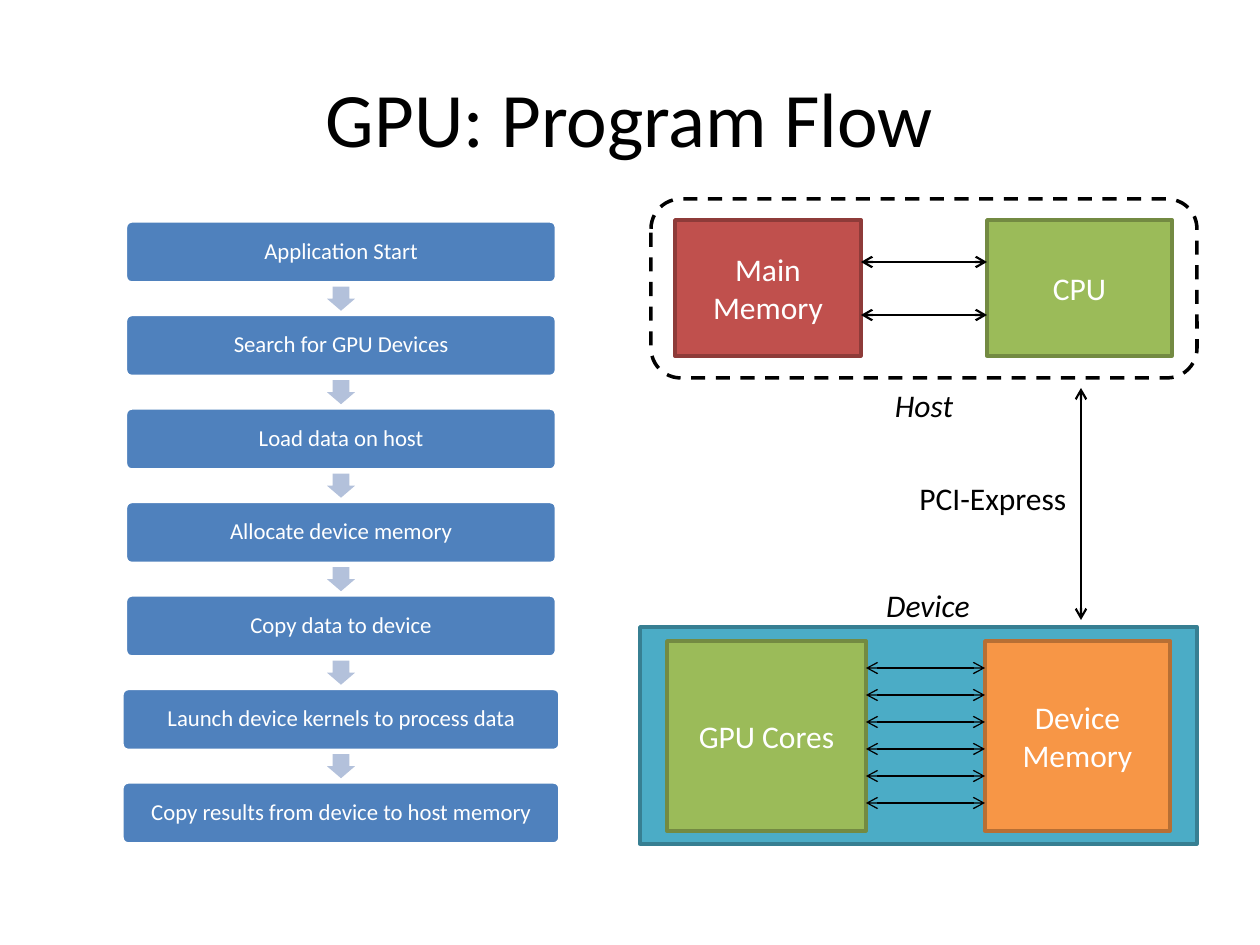
from lxml.etree import SubElement
from pptx import Presentation
from pptx.dml.color import RGBColor
from pptx.enum.dml import MSO_LINE_DASH_STYLE as Dash
from pptx.enum.shapes import MSO_CONNECTOR, MSO_SHAPE as Shape
from pptx.enum.text import MSO_ANCHOR as Anchor, MSO_AUTO_SIZE as AutoSize, PP_ALIGN as Align
from pptx.oxml.ns import qn
from pptx.util import Pt

EMU_PER_PX = 914400 / 126


class Theme:
    font = "Calibri"
    black, white = "000000", "FFFFFF"
    step, step_arrow = "4F81BD", "B3C1DB"
    red, green = ("C0504D", "8E3B39"), ("9BBB59", "738A42")
    teal, orange = ("4BACC6", "377F92"), ("F79646", "B76F34")
    title_size, label_size, step_size = 44, 18, 13
    outline, bus_line, core_line = 2, 1.25, 0.75


# Content; boxes are left, top, width, height in px
TITLE = "GPU: Program Flow"
STEPS = [
    "Application Start",
    "Search for GPU Devices",
    "Load data on host",
    "Allocate device memory",
    "Copy data to device",
    "Launch device kernels to process data",
    "Copy results from device to host memory",
]
WIDE_STEPS = STEPS[-2:]
HOST_BOX = (651, 199, 546, 179)
DEVICE_BOX = (640, 627, 557, 217)
UNITS = [
    ("CPU", (987, 220, 185, 136), Theme.green),
    ("Main Memory", (675, 220, 186, 136), Theme.red),
    ("Device Memory", (985, 641, 185, 190), Theme.orange),
    ("GPU Cores", (667, 641, 199, 190), Theme.green),
]
LABELS = [
    ("PCI-Express", (907, 473, 174, 50), Align.LEFT, False),
    ("Device", (872, 580, 112, 50), Align.CENTER, True),
    ("Host", (882, 380, 84, 50), Align.CENTER, True),
]

# Flow column rules
FLOW_CENTER, FLOW_TOP, FLOW_LAST_TOP = 341, 221, 782
STEP_WIDTH, WIDE_STEP_WIDTH, STEP_HEIGHT = 431, 438, 62
ARROW_WIDTH, ARROW_HEIGHT = 24, 28


def px(*lengths):
    return [round(length * EMU_PER_PX) for length in lengths]


def rgb(color):
    return RGBColor.from_string(color)


def write_text(frame, text, size=Theme.label_size, color=Theme.white,
               align=Align.CENTER, anchor=Anchor.MIDDLE, italic=False,
               wrap=True, inset=None, line_spacing=None):
    frame.word_wrap = wrap
    frame.vertical_anchor = anchor
    if inset is not None:
        frame.margin_left = frame.margin_right = px(inset)[0]
        frame.margin_top = frame.margin_bottom = px(inset)[0]
    paragraph = frame.paragraphs[0]
    paragraph.alignment = align
    if line_spacing:
        paragraph.line_spacing = line_spacing
    run = paragraph.add_run()
    run.text = text
    run.font.name = Theme.font
    run.font.size = Pt(size)
    run.font.italic = italic
    run.font.color.rgb = rgb(color)


def add_box(slide, kind, box, fill, line=None, adjustments=()):
    shape = slide.shapes.add_shape(kind, *px(*box))
    shape.shadow.inherit = False
    shape.fill.solid()
    shape.fill.fore_color.rgb = rgb(fill)
    if line:
        shape.line.color.rgb = rgb(line)
        shape.line.width = Pt(Theme.outline)
    else:
        shape.line.fill.background()
    for index, value in enumerate(adjustments):
        shape.adjustments[index] = value
    return shape


def add_link(slide, start, end, width):
    link = slide.shapes.add_connector(MSO_CONNECTOR.STRAIGHT, *px(*start, *end))
    link.line.color.rgb = rgb(Theme.black)
    link.line.width = Pt(width)
    outline = link.line._get_or_add_ln()
    for tag in ("a:headEnd", "a:tailEnd"):
        SubElement(outline, qn(tag), type="arrow")
    SubElement(link._element.spPr, qn("a:effectLst"))


def add_flow(slide):
    pitch = (FLOW_LAST_TOP - FLOW_TOP) / (len(STEPS) - 1)
    for index, text in enumerate(STEPS):
        top = FLOW_TOP + index * pitch
        width = WIDE_STEP_WIDTH if text in WIDE_STEPS else STEP_WIDTH
        box = (FLOW_CENTER - width / 2, top, width, STEP_HEIGHT)
        step = add_box(slide, Shape.ROUNDED_RECTANGLE, box, Theme.step, Theme.white, [0.1])
        write_text(step.text_frame, text, size=Theme.step_size, inset=6, line_spacing=0.9)
        if index < len(STEPS) - 1:
            middle = top + (STEP_HEIGHT + pitch) / 2
            box = (FLOW_CENTER - ARROW_WIDTH / 2, middle - ARROW_HEIGHT / 2,
                   ARROW_WIDTH, ARROW_HEIGHT)
            arrow = add_box(slide, Shape.RIGHT_ARROW, box, Theme.step_arrow,
                            adjustments=[0.6, 0.5])
            arrow.rotation = 90


def add_architecture(slide):
    # Host and device frames
    host = add_box(slide, Shape.ROUNDED_RECTANGLE, HOST_BOX, Theme.white, Theme.black)
    host.line.dash_style = Dash.DASH
    add_box(slide, Shape.RECTANGLE, DEVICE_BOX, *Theme.teal)

    # Processors and memories
    for text, box, colors in UNITS:
        unit = add_box(slide, Shape.RECTANGLE, box, *colors)
        write_text(unit.text_frame, text)

    # Links between the units, then the bus between host and device
    for y in (262, 315):
        add_link(slide, (861, y), (987, y), Theme.bus_line)
    for index in range(6):
        y = 668 + 27 * index
        add_link(slide, (866, y), (985, y), Theme.core_line)
    add_link(slide, (1081, 388), (1081, 620), Theme.bus_line)

    # Captions
    for text, box, align, italic in LABELS:
        label = slide.shapes.add_textbox(*px(*box)).text_frame
        write_text(label, text, color=Theme.black, align=align,
                   anchor=Anchor.TOP, italic=italic, wrap=False)
        label.auto_size = AutoSize.SHAPE_TO_FIT_TEXT


def main():
    presentation = Presentation()
    presentation.slide_width, presentation.slide_height = px(1260, 945)
    slide = presentation.slides.add_slide(presentation.slide_layouts[5])
    title = slide.shapes.title
    title.left, title.top, title.width, title.height = px(63, 38, 1134, 158)
    write_text(title.text_frame, TITLE, size=Theme.title_size, color=Theme.black)
    add_flow(slide)
    add_architecture(slide)
    presentation.save("out.pptx")


if __name__ == "__main__":
    main()
